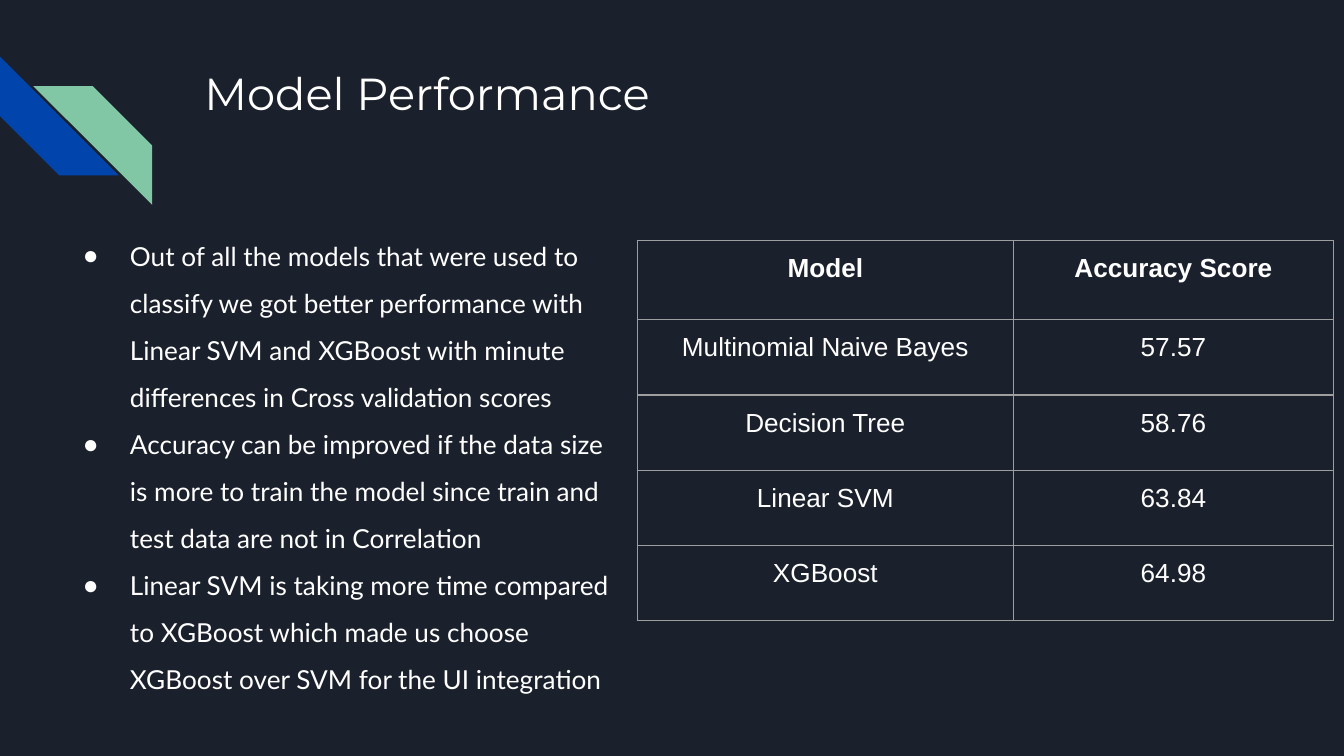
from collections import namedtuple

from lxml.etree import SubElement
from pptx import Presentation
from pptx.dml.color import RGBColor
from pptx.enum.shapes import MSO_SHAPE
from pptx.enum.text import MSO_ANCHOR, MSO_AUTO_SIZE, PP_ALIGN
from pptx.oxml import parse_xml
from pptx.oxml.ns import nsdecls, qn
from pptx.util import Inches, Pt

COLORS = {"background": "1B212C", "blue": "0145AC", "green": "82C7A5",
          "text": "FFFFFF", "border": "9E9E9E"}
WIDTH = Inches(10)
HEIGHT = WIDTH * 9 // 16
Box = namedtuple("Box", "left top width height")

BULLETS = [
    "Out of all the models that were used to classify we got better performance "
    "with Linear SVM and XGBoost with minute differences in Cross validation scores",
    "Accuracy can be improved if the data size is more to train the model "
    "since train and test data are not in Correlation",
    "Linear SVM is taking more time compared to XGBoost which made us choose "
    "XGBoost over SVM for the UI integration",
]
SCORES = [
    ("Model", "Accuracy Score"),
    ("Multinomial Naive Bayes", "57.57"),
    ("Decision Tree", "58.76"),
    ("Linear SVM", "63.84"),
    ("XGBoost", "64.98"),
]


def share_box(left, top, width, height):
    """Return a box given in percent of the slide's width and height."""
    return Box(int(WIDTH * left / 100), int(HEIGHT * top / 100),
               int(WIDTH * width / 100), int(HEIGHT * height / 100))


def rgb(name):
    """Return a named colour."""
    return RGBColor.from_string(COLORS[name])


def format_paragraph(paragraph, font_name, size, alignment, bold=False):
    """Set the font and alignment of a whole paragraph."""
    paragraph.alignment = alignment
    paragraph.space_before = paragraph.space_after = Pt(0)
    font = paragraph.font
    font.name, font.size, font.bold = font_name, Pt(size), bold
    font.color.rgb = rgb("text")


def fill_placeholder(placeholder, box, texts, font_name, size, spacing):
    """Move a placeholder into the box and write one paragraph per text."""
    placeholder.left, placeholder.top, placeholder.width, placeholder.height = box
    frame = placeholder.text_frame
    frame.text = "\n".join(texts)
    frame.word_wrap = True
    frame.auto_size = MSO_AUTO_SIZE.NONE
    frame.vertical_anchor = MSO_ANCHOR.TOP
    frame.margin_left = frame.margin_right = Inches(0.1)
    frame.margin_top = frame.margin_bottom = Inches(0.1)
    for paragraph in frame.paragraphs:
        format_paragraph(paragraph, font_name, size, PP_ALIGN.LEFT)
        paragraph.line_spacing = spacing
    return frame


def add_stripes(slide, box):
    """Place the two diagonal stripes in opposite corners of the box."""
    side = int(box.width * 0.78)
    corners = [("blue", box.left, box.top),
               ("green", box.left + box.width - side, box.top + box.height - side)]
    for color, left, top in corners:
        stripe = slide.shapes.add_shape(MSO_SHAPE.DIAGONAL_STRIPE, left, top, side, side)
        stripe.adjustments[0] = 0.5
        stripe.shadow.inherit = False
        stripe.fill.solid()
        stripe.fill.fore_color.rgb = rgb(color)
        stripe.line.fill.background()
        if color == "blue":
            stripe.rotation = 270
        else:
            stripe.element.spPr.find(qn("a:xfrm")).set("flipH", "1")


def add_title(slide, box):
    """Write the slide title."""
    fill_placeholder(slide.shapes.title, box, ["Model Performance"], "Montserrat", 24, 0.9)


def add_findings(slide, box):
    """Write the bulleted findings."""
    frame = fill_placeholder(slide.placeholders[1], box, BULLETS, "Lato", 14, 1.5)
    for paragraph in frame.paragraphs:
        properties = paragraph._p.get_or_add_pPr()
        properties.set("marL", str(Inches(0.5)))
        properties.set("indent", str(Inches(-0.35)))
        bullet_color = SubElement(properties, qn("a:buClr"))
        SubElement(bullet_color, qn("a:srgbClr"), val=COLORS["text"])
        SubElement(properties, qn("a:buChar"), char="●")
        properties.append(properties.find(qn("a:defRPr")))


def border_cell(cell):
    """Draw a thin line on all four sides of a cell."""
    properties = cell._tc.get_or_add_tcPr()
    for position, side in enumerate("LRTB"):
        properties.insert(position, parse_xml(
            f'<a:ln{side} {nsdecls("a")} w="{Pt(0.75)}"><a:solidFill>'
            f'<a:srgbClr val="{COLORS["border"]}"/></a:solidFill></a:ln{side}>'))


def add_score_table(slide, box):
    """Build the table of accuracy scores, with a slightly taller header."""
    table = slide.shapes.add_table(len(SCORES), len(SCORES[0]), *box).table
    table.first_row = table.horz_banding = False
    for column, share in zip(table.columns, (0.54, 0.46)):
        column.width = int(box.width * share)
    for index, (row, values) in enumerate(zip(table.rows, SCORES)):
        row.height = int(box.height * (0.2 if index else 0.21))
        for cell, value in zip(row.cells, values):
            cell.text = value
            cell.margin_left = cell.margin_right = Inches(0.1)
            cell.margin_top = cell.margin_bottom = Inches(0.1)
            cell.vertical_anchor = MSO_ANCHOR.TOP
            cell.fill.background()
            border_cell(cell)
            format_paragraph(cell.text_frame.paragraphs[0], "Arial", 14,
                             PP_ALIGN.CENTER, bold=index == 0)


def main():
    """Build and save the presentation."""
    presentation = Presentation()
    presentation.slide_width, presentation.slide_height = WIDTH, HEIGHT
    slide = presentation.slides.add_slide(presentation.slide_layouts[1])
    slide.background.fill.solid()
    slide.background.fill.fore_color.rgb = rgb("background")
    add_stripes(slide, share_box(0, 7.5, 11.32, 19.6))
    add_title(slide, share_box(14.2, 7.7, 85, 10.15))
    add_score_table(slide, share_box(47.43, 31.83, 51.8, 49.8))
    add_findings(slide, share_box(3.67, 27.93, 43.8, 64.4))
    presentation.save("out.pptx")


if __name__ == "__main__":
    main()
